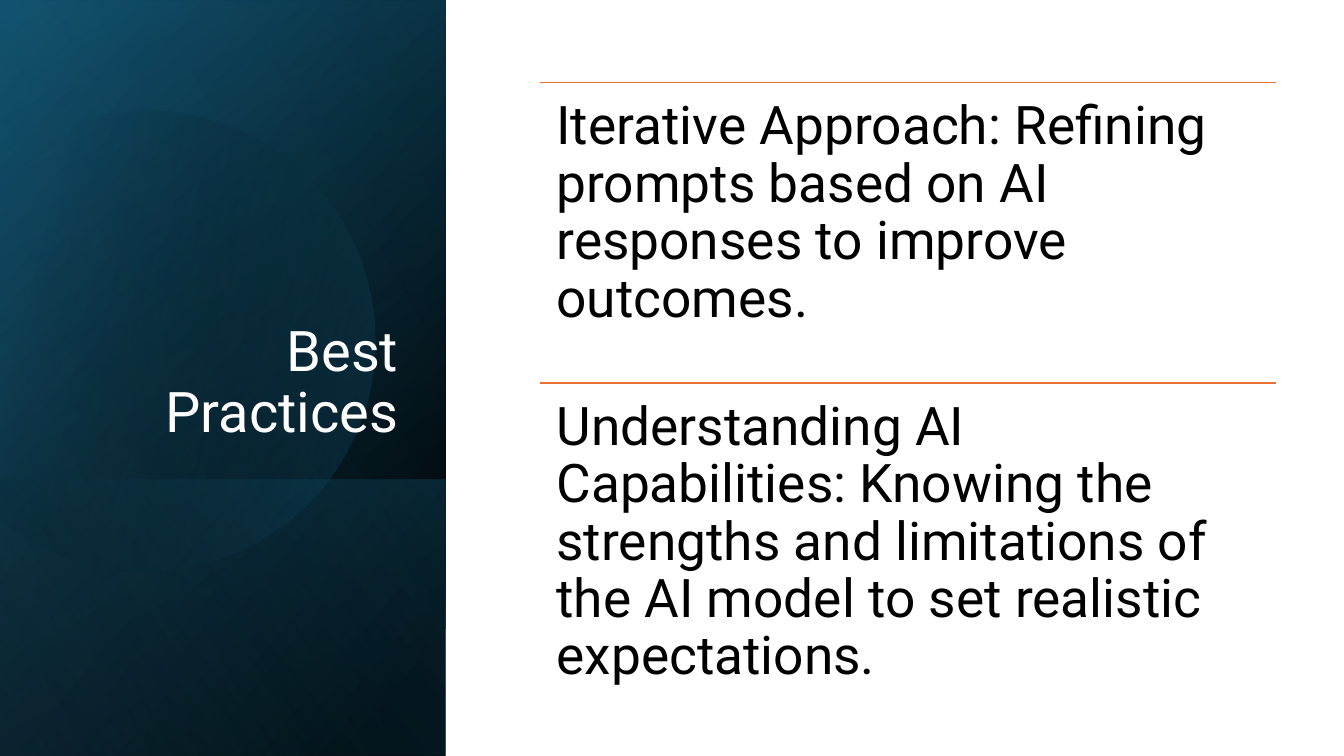
import math

import pptx
import pptx.dml.color
import pptx.enum.shapes
import pptx.enum.text
import pptx.oxml
import pptx.oxml.ns
import pptx.util
from pptx.util import Inches

RGBColor = pptx.dml.color.RGBColor
BLACK = RGBColor(0x00, 0x00, 0x00)
WHITE = RGBColor(0xFF, 0xFF, 0xFF)
NAVY = RGBColor(0x10, 0x48, 0x62)
TEAL = RGBColor(0x15, 0x60, 0x82)
SKY = RGBColor(0x46, 0xB1, 0xE1)
ORANGE = RGBColor(0xE9, 0x71, 0x32)

# Gradient stops are (position %, colour, opacity %).
BASE = ((8, BLACK, 100), (100, NAVY, 100))
TEAL_GLOW = ((0, BLACK, 0), (99, TEAL, 46))
FOOT_SHADE = ((2, TEAL, 29), (100, BLACK, 30))
DISC_GLOW = ((29, BLACK, 0), (100, TEAL, 43))
SKY_GLOW = ((0, BLACK, 0), (99, SKY, 11))

DISC_START = (1.49, 1.1)
DISC_CURVES = (
    ((2.46, 1.12), (3.35, 1.77), (3.63, 2.75)),
    ((3.98, 3.97), (3.28, 5.23), (2.07, 5.58)),
    ((1.31, 5.8), (0.53, 5.61), (-0.03, 5.14)),
    ((-0.03, 5.14), (-0.15, 5.03), (-0.15, 5.03)),
    ((-0.15, 5.03), (-0.15, 1.75), (-0.15, 1.75)),
    ((-0.15, 1.75), (0, 1.61), (0, 1.61)),
    ((0.23, 1.42), (0.5, 1.28), (0.8, 1.19)),
    ((1.03, 1.13), (1.26, 1.1), (1.49, 1.1)),
)
DISC_CENTRE = (1.59, 3.35)
DISC_ROTATION = 343.9

PRACTICES = (
    "Iterative Approach: Refining prompts based on AI responses to improve outcomes.",
    "Understanding AI Capabilities: Knowing the strengths and limitations of "
    "the AI model to set realistic expectations.",
)
LIST_LEFT, LIST_TOP, ROW_HEIGHT = 5.36, 0.82, 2.98


def curve_points(start, curves, steps=16):
    """Sample a chain of cubic curves into points."""
    points = [start]
    for first, second, end in curves:
        origin = points[-1]
        for step in range(1, steps + 1):
            t = step / steps
            weights = ((1 - t) ** 3, 3 * t * (1 - t) ** 2, 3 * t * t * (1 - t), t ** 3)
            points.append(tuple(
                sum(w * p[axis] for w, p in zip(weights, (origin, first, second, end)))
                for axis in (0, 1)))
    return points


def turned(point, centre, degrees):
    """Turn a point clockwise about a centre."""
    angle = math.radians(degrees)
    dx, dy = point[0] - centre[0], point[1] - centre[1]
    return (centre[0] + dx * math.cos(angle) - dy * math.sin(angle),
            centre[1] + dx * math.sin(angle) + dy * math.cos(angle))


class SlideBuilder:
    font = "Roboto"
    line_spacing = 0.9

    def __init__(self, slide):
        self.slide = slide
        self.shapes = slide.shapes

    def gradient(self, shape, stops, angle):
        shape.shadow.inherit = False
        shape.line.fill.background()
        shape.fill.gradient()
        shape.fill.gradient_angle = 360 - angle
        for stop, (position, color, _) in zip(shape.fill.gradient_stops, stops):
            stop.position = position / 100
            stop.color.rgb = color
        colors = shape.element.spPr.iter(pptx.oxml.ns.qn("a:srgbClr"))
        for color, (_, _, opacity) in zip(colors, stops):
            alpha = color.makeelement(pptx.oxml.ns.qn("a:alpha"), {"val": str(opacity * 1000)})
            color.append(alpha)

    def panel(self, left, top, width, stops, angle):
        """Add a mirrored rectangle on its side, filled with a gradient."""
        shape = self.shapes.add_shape(
            pptx.enum.shapes.MSO_SHAPE.RECTANGLE,
            Inches(left), Inches(top), Inches(width), Inches(4.42))
        shape.rotation = 90
        shape.element.spPr.xfrm.set("flipH", "1")
        self.gradient(shape, stops, angle)

    def disc(self):
        outline = [
            tuple(Inches(value) for value in turned(point, DISC_CENTRE, -DISC_ROTATION))
            for point in curve_points(DISC_START, DISC_CURVES)]
        builder = self.shapes.build_freeform(*outline[0])
        builder.add_line_segments(outline[1:], close=True)
        shape = builder.convert_to_shape()
        shape.rotation = DISC_ROTATION
        self.gradient(shape, DISC_GLOW, 30)

    def fill_text(self, frame, text, size, color, frame_format, align):
        for name, value in frame_format.items():
            setattr(frame, name, value)
        paragraph = frame.paragraphs[0]
        paragraph.alignment = align
        paragraph.line_spacing = self.line_spacing
        run = paragraph.add_run()
        run.text = text
        for name, value in {"name": self.font, "size": pptx.util.Pt(size)}.items():
            setattr(run.font, name, value)
        run.font.color.rgb = color

    def title(self, text):
        heading = self.shapes.title
        place = {"left": 0.64, "top": 1.84, "width": 3.41, "height": 2.62}
        for name, value in place.items():
            setattr(heading, name, Inches(value))
        self.shapes.element.append(heading.element)  # bring in front of the panels
        frame_format = {
            "word_wrap": True,
            "auto_size": pptx.enum.text.MSO_AUTO_SIZE.NONE,
            "vertical_anchor": pptx.enum.text.MSO_ANCHOR.BOTTOM,
        }
        self.fill_text(heading.text_frame, text, 40, WHITE, frame_format,
                       pptx.enum.text.PP_ALIGN.RIGHT)

    def practice(self, group, top, text):
        """Add one ruled row of the list."""
        rule = group.shapes.add_connector(
            pptx.enum.shapes.MSO_CONNECTOR.STRAIGHT,
            Inches(LIST_LEFT), Inches(top), Inches(12.66), Inches(top))
        rule.line.color.rgb = ORANGE
        rule.line.width = pptx.util.Pt(1)
        properties = rule.element.spPr
        properties.append(properties.makeelement(pptx.oxml.ns.qn("a:effectLst"), {}))
        box = group.shapes.add_textbox(
            Inches(LIST_LEFT), Inches(top), Inches(7.29), Inches(ROW_HEIGHT))
        frame_format = {f"margin_{side}": Inches(0.16)
                        for side in ("left", "top", "right", "bottom")}
        frame_format["word_wrap"] = True
        self.fill_text(box.text_frame, text, 38, BLACK, frame_format,
                       pptx.enum.text.PP_ALIGN.LEFT)


def main():
    deck = pptx.Presentation()
    deck.slide_width, deck.slide_height = Inches(13.33), Inches(7.5)
    title_only = deck.slide_layouts[5]
    builder = SlideBuilder(deck.slides.add_slide(title_only))

    builder.panel(-1.54, 1.54, 7.5, BASE, 50)
    builder.panel(-1.54, 1.55, 7.5, TEAL_GLOW, 30)
    builder.panel(0.84, 3.92, 2.74, FOOT_SHADE, 130)
    builder.disc()
    builder.panel(-1.54, 1.54, 7.5, SKY_GLOW, 120)
    builder.title("Best Practices")

    practices = builder.shapes.add_group_shape()
    for row, text in enumerate(PRACTICES):
        builder.practice(practices, LIST_TOP + row * ROW_HEIGHT, text)

    deck.save("out.pptx")


if __name__ == "__main__":
    main()
